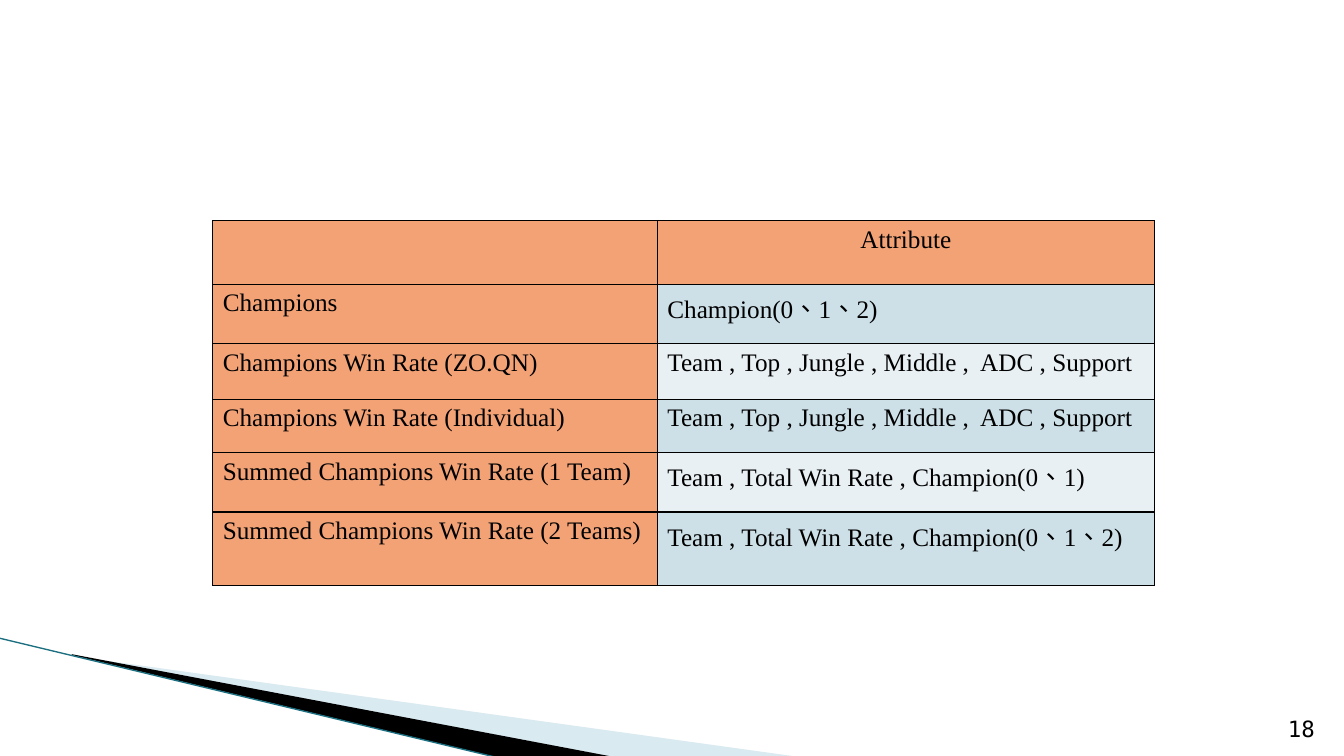
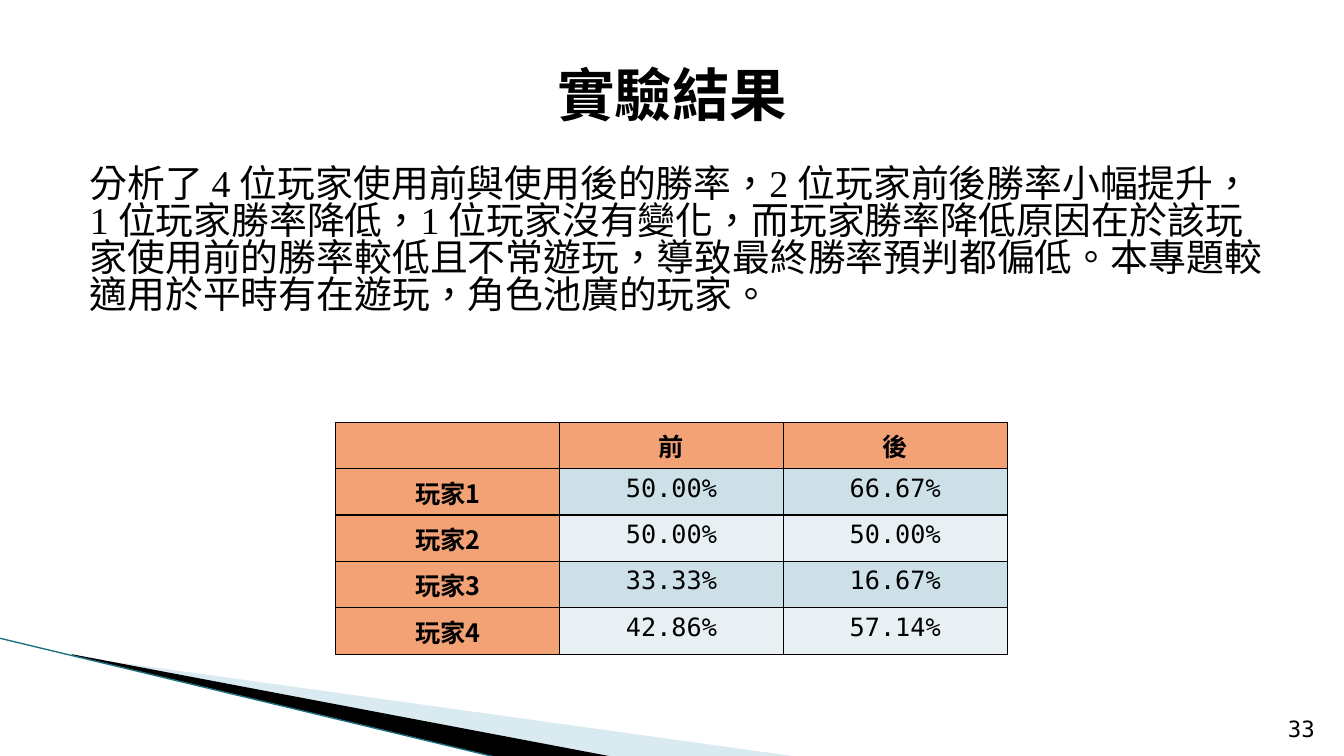
from lxml import etree
from pptx import Presentation
from pptx.dml.color import RGBColor
from pptx.enum.shapes import MSO_CONNECTOR
from pptx.enum.text import MSO_ANCHOR as Anchor, MSO_AUTO_SIZE, PP_ALIGN as Align
from pptx.oxml.ns import qn
from pptx.util import Pt

PX = 9144  # 100 px to the inch


class Theme:
    ink = RGBColor.from_string("000000")
    head = RGBColor.from_string("F3A276")
    bands = [RGBColor.from_string("CDE0E8"), RGBColor.from_string("E8F0F4")]
    pale = RGBColor.from_string("A0CBDC")
    teal = RGBColor.from_string("1B6F80")
    serif, mono, cjk = "Times New Roman", "DejaVu Sans Mono", "Noto Sans CJK SC"
    title_size, body_size, table_size, number_size = 41, 27, 18, 16


def write(frame, text, *, font, size, bold=False, align=Align.LEFT, anchor=Anchor.TOP):
    frame.vertical_anchor = anchor
    para = frame.paragraphs[0]
    para.alignment = align
    span = para.add_run()
    span.text = text
    span.font.name, span.font.size, span.font.bold = font, Pt(size), bold
    span.font.color.rgb = Theme.ink
    marks = span.font._element
    marks.set("lang", "zh-TW")
    east = etree.Element(qn("a:ea"), typeface=Theme.cjk)
    marks.find(qn("a:latin")).addnext(east)
    return para


def add_grid(page, rows, left, top, widths, heights, head, body, label):
    """head, body and label are text formats: top row, values, first column."""
    frame = page.shapes.add_table(len(rows), len(widths), left * PX, top * PX,
                                  sum(widths) * PX, sum(heights) * PX)
    table = frame.table
    table.first_row = table.horz_banding = False
    for column, width in zip(table.columns, widths):
        column.width = width * PX
    for r, (texts, height) in enumerate(zip(rows, heights)):
        table.rows[r].height = height * PX
        for c, text in enumerate(texts):
            cell = table.cell(r, c)
            props = cell._tc.get_or_add_tcPr()
            for side in ("a:lnL", "a:lnR", "a:lnT", "a:lnB"):
                edge = etree.SubElement(props, qn(side), w=str(Pt(1)))
                paint = etree.SubElement(edge, qn("a:solidFill"))
                etree.SubElement(paint, qn("a:srgbClr"), val=str(Theme.ink))
            cell.fill.solid()
            is_head = r == 0 or c == 0
            cell.fill.fore_color.rgb = Theme.head if is_head else Theme.bands[(r - 1) % 2]
            if text:
                style = head if r == 0 else label if c == 0 else body
                write(cell.text_frame, text, size=Theme.table_size, **style)


deck = Presentation()
deck.slide_width, deck.slide_height = 1333 * PX, 750 * PX
attribute_page = deck.slides.add_slide(deck.slide_layouts[6])
result_page = deck.slides.add_slide(deck.slide_layouts[1])

# Shared corner wedges and page number
wedges = [
    (Theme.pale, [(73, 651), (793, 751), (608, 751), (73, 650)]),
    (Theme.ink, [(71, 649), (609, 751), (496, 752), (72, 650)]),
]
for page, number in ((attribute_page, "18"), (result_page, "33")):
    for color, points in wedges:
        outline = page.shapes.build_freeform(*points[0], scale=PX)
        outline.add_line_segments(points[1:], close=True)
        wedge = outline.convert_to_shape()
        wedge.shadow.inherit = False
        wedge.fill.solid()
        wedge.fill.fore_color.rgb = color
        wedge.line.fill.background()
        if color == Theme.pale:
            tint = wedge._element.spPr.find(qn("a:solidFill"))[0]
            etree.SubElement(tint, qn("a:alpha"), val="40000")

    edge = page.shapes.add_connector(MSO_CONNECTOR.STRAIGHT, -1 * PX, 633 * PX, 495 * PX, 752 * PX)
    edge.line.color.rgb = Theme.teal
    edge.line.width = Pt(0.95)
    etree.SubElement(edge._element.spPr, qn("a:effectLst"))

    box = page.shapes.add_textbox(1261 * PX, 701 * PX, 53 * PX, 40 * PX)
    box.text_frame.word_wrap = True
    write(box.text_frame, number, font=Theme.mono, size=Theme.number_size,
          align=Align.RIGHT, anchor=Anchor.BOTTOM)

# Attribute table
roles = "Team , Top , Jungle , Middle ,  ADC , Support"
plain = dict(font=Theme.serif)
add_grid(attribute_page, [
    ("", "Attribute"),
    ("Champions", "Champion(0、1、2)"),
    ("Champions Win Rate (ZO.QN)", roles),
    ("Champions Win Rate (Individual)", roles),
    ("Summed Champions Win Rate (1 Team)", "Team , Total Win Rate , Champion(0、1)"),
    ("Summed Champions Win Rate (2 Teams)", "Team , Total Win Rate , Champion(0、1、2)"),
], 211, 219, [441, 493], [63, 59, 55, 53, 59, 73],
    head=dict(font=Theme.serif, align=Align.CENTER), body=plain, label=plain)

# Results: title and summary
title, summary = result_page.placeholders
for holder, top, height in ((title, 30, 125), (summary, 161, 489)):
    holder.left, holder.top = 67 * PX, top * PX
    holder.width, holder.height = 1200 * PX, height * PX
    holder.text_frame.auto_size = MSO_AUTO_SIZE.NONE
write(title.text_frame, "實驗結果", font=Theme.cjk, size=Theme.title_size, bold=True,
      align=Align.CENTER, anchor=Anchor.MIDDLE)
para = write(
    summary.text_frame,
    "分析了 4 位玩家使用前與使用後的勝率，2 位玩家前後勝率小幅提升，1 位玩家勝率降低，"
    "1 位玩家沒有變化，而玩家勝率降低原因在於該玩家使用前的勝率較低且不常遊玩，"
    "導致最終勝率預判都偏低。本專題較適用於平時有在遊玩，角色池廣的玩家。",
    font=Theme.serif, size=Theme.body_size)
para.space_before = Pt(0)
para.line_spacing = 0.82
layout = para._p.get_or_add_pPr()
layout.set("marL", str(12 * PX))
layout.set("indent", "0")
etree.SubElement(layout, qn("a:buNone"))

# Results: win rate before and after
strong = dict(font=Theme.cjk, bold=True, align=Align.CENTER)
add_grid(result_page, [
    ("", "前", "後"),
    ("玩家1", "50.00%", "66.67%"),
    ("玩家2", "50.00%", "50.00%"),
    ("玩家3", "33.33%", "16.67%"),
    ("玩家4", "42.86%", "57.14%"),
], 333, 419, [222] * 3, [46] * 5,
    head=strong, body=dict(font=Theme.mono, align=Align.CENTER), label=strong)

deck.save("out.pptx")
